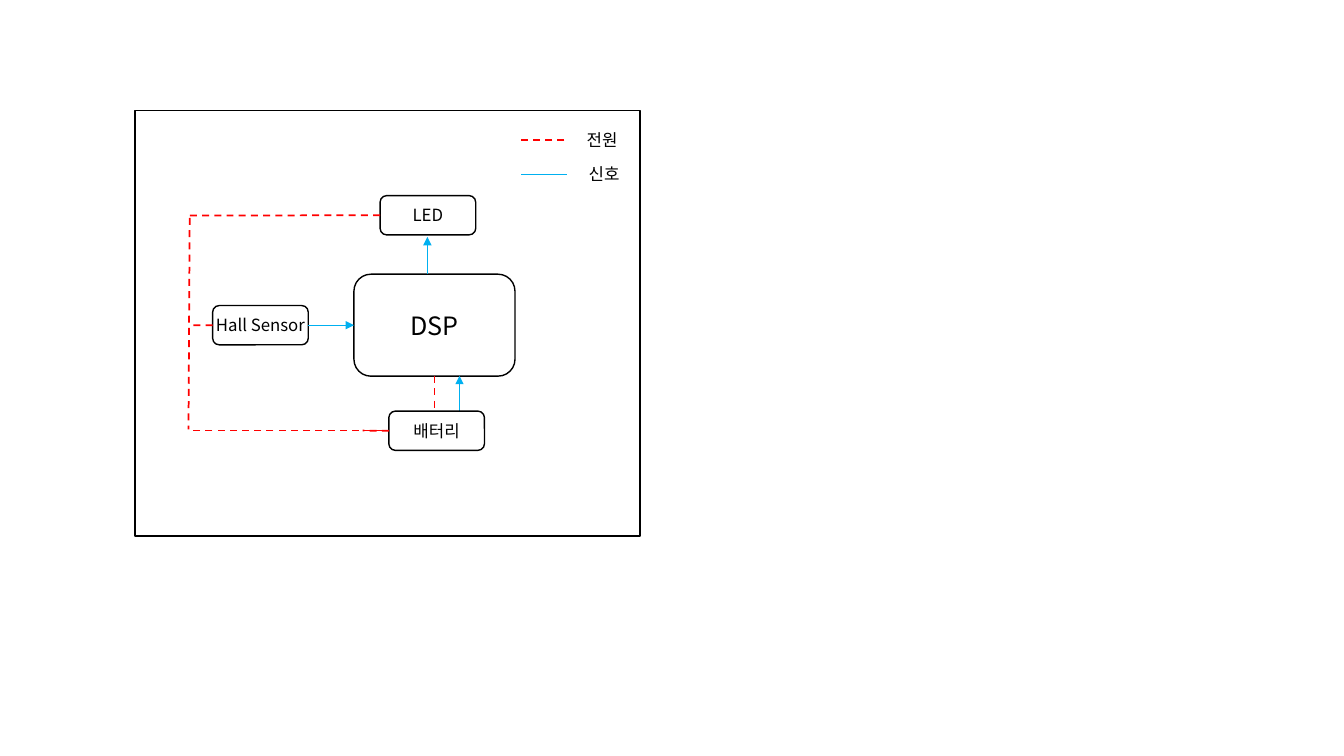
import pptx
import pptx.dml.color
import pptx.enum.dml
import pptx.enum.shapes
import pptx.enum.text
import pptx.oxml
import pptx.oxml.ns
import pptx.util
from lxml import etree

Cm = pptx.util.Cm
Pt = pptx.util.Pt
SHAPES = pptx.enum.shapes.MSO_SHAPE
FONT = "Noto Sans CJK KR"
COLORS = {"ink": "000000", "paper": "FFFFFF", "power": "FF0000", "signal": "00B0F0"}
LINE_WIDTHS = {"power": 1.25, "signal": 0.75}

FRAME = (3.4, 2.79, 12.73, 10.72)
SMALL_BOX = (2.41, 0.99)
DSP = ("DSP", (8.92, 6.91, 4.06, 2.57), 18)
HALL_SENSOR = ("Hall Sensor", (5.36, 7.7, *SMALL_BOX), 12)
LED = ("LED", (9.58, 4.93, *SMALL_BOX), 12)
BATTERY = ("배터리", (9.8, 10.36, *SMALL_BOX), 12)

LINES = [
    ("power", (4.78, 5.49), (4.75, 10.82), False),
    ("power", (11.51, 10.85), (4.83, 10.85), False),
    ("signal", (11.58, 10.36), (11.58, 9.47), True),
    ("power", ("LED", 1), (4.75, 5.43), False),
    ("power", ("Hall Sensor", 1), (4.8, 8.2), False),
    ("signal", (10.77, 6.91), (10.77, 5.97), True),
    ("signal", ("Hall Sensor", 3), ("DSP", 1), True),
    ("power", ("DSP", 2), (10.95, 10.85), False),
    ("power", (14.22, 3.53), (13.13, 3.53), False),
    ("signal", (13.13, 4.39), (14.3, 4.39), False),
]
BATTERY_STUB = ("power", ("배터리", 1), (9.14, 10.85), False)
LEGEND = [("전원", (14.4, 3.15)), ("신호", (14.45, 4.01))]
LEGEND_SIZE = (1.55, 0.76)


def rgb(name):
    return pptx.dml.color.RGBColor.from_string(COLORS[name])


def write(frame, text, size):
    frame.word_wrap = True
    para = frame.paragraphs[0]
    para.text = text
    para.alignment = pptx.enum.text.PP_ALIGN.CENTER
    para.font.size = Pt(size)
    para.font.name = FONT
    para.font.color.rgb = rgb("ink")
    properties = para._p.pPr.find(pptx.oxml.ns.qn("a:defRPr"))
    etree.SubElement(properties, pptx.oxml.ns.qn("a:ea"), typeface=FONT)


def add_outline(page, kind, place, fill=None):
    box = page.shapes.add_shape(kind, *map(Cm, place))
    box.shadow.inherit = False
    if fill:
        box.fill.solid()
        box.fill.fore_color.rgb = rgb(fill)
    else:
        box.fill.background()
    box.line.color.rgb = rgb("ink")
    box.line.width = Pt(1)
    return box


def add_block(page, blocks, block, fill=None):
    label, place, size = block
    box = add_outline(page, SHAPES.ROUNDED_RECTANGLE, place, fill)
    frame = box.text_frame
    frame.margin_left = frame.margin_right = frame.margin_top = frame.margin_bottom = 0
    frame.vertical_anchor = pptx.enum.text.MSO_ANCHOR.MIDDLE
    write(frame, label, size)
    blocks[label] = box


def add_line(page, blocks, line):
    kind, start, end, arrow = line
    points = [(0, 0) if point[0] in blocks else point for point in (start, end)]
    connector = page.shapes.add_connector(
        pptx.enum.shapes.MSO_CONNECTOR.STRAIGHT,
        *(Cm(value) for point in points for value in point))
    if start[0] in blocks:
        connector.begin_connect(blocks[start[0]], start[1])
    if end[0] in blocks:
        connector.end_connect(blocks[end[0]], end[1])
    connector.line.color.rgb = rgb(kind)
    connector.line.width = Pt(LINE_WIDTHS[kind])
    if kind == "power":
        connector.line.dash_style = pptx.enum.dml.MSO_LINE.DASH
    properties = connector._element.spPr
    if arrow:
        outline = properties.find(pptx.oxml.ns.qn("a:ln"))
        etree.SubElement(outline, pptx.oxml.ns.qn("a:tailEnd"), type="triangle")
    etree.SubElement(properties, pptx.oxml.ns.qn("a:effectLst"))


def main():
    deck = pptx.Presentation()
    deck.slide_width, deck.slide_height = Cm(33.87), Cm(19.05)
    page = deck.slides.add_slide(deck.slide_layouts[6])
    blocks = {}
    add_outline(page, SHAPES.RECTANGLE, FRAME)
    for block in (DSP, HALL_SENSOR, LED):
        add_block(page, blocks, block)
    for line in LINES:
        add_line(page, blocks, line)
    for label, corner in LEGEND:
        box = page.shapes.add_textbox(*map(Cm, corner + LEGEND_SIZE))
        write(box.text_frame, label, 12)
    add_block(page, blocks, BATTERY, "paper")
    add_line(page, blocks, BATTERY_STUB)
    deck.save("out.pptx")


if __name__ == "__main__":
    main()
